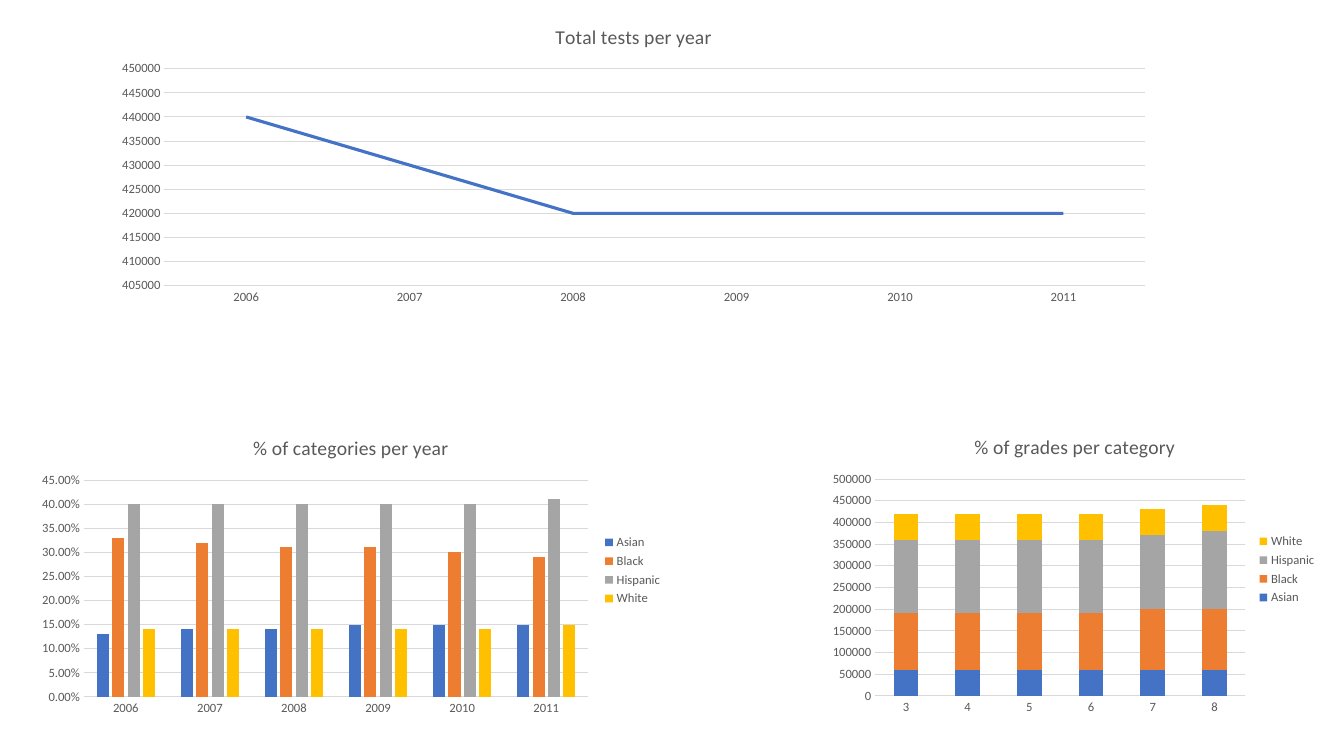
from dataclasses import dataclass
from typing import Optional

from pptx import Presentation
from pptx.chart.chart import Chart
from pptx.chart.data import CategoryChartData
from pptx.dml.color import RGBColor
from pptx.enum.chart import XL_CHART_TYPE as ChartType
from pptx.enum.chart import XL_LEGEND_POSITION as LegendPosition
from pptx.enum.chart import XL_MARKER_STYLE as MarkerStyle
from pptx.enum.chart import XL_TICK_MARK as TickMark
from pptx.slide import Slide
from pptx.text.text import Font
from pptx.util import Inches, Pt

TEXT_GRAY = RGBColor(0x59, 0x59, 0x59)
LINE_GRAY = RGBColor(0xD9, 0xD9, 0xD9)
BLUE = RGBColor(0x44, 0x72, 0xC4)
ORANGE = RGBColor(0xED, 0x7D, 0x31)
GRAY = RGBColor(0xA5, 0xA5, 0xA5)
YELLOW = RGBColor(0xFF, 0xC0, 0x00)
SERIES_COLORS = (BLUE, ORANGE, GRAY, YELLOW)
FONT_NAME = "Calibri"
YEARS = ("2006", "2007", "2008", "2009", "2010", "2011")
GRADES = ("3", "4", "5", "6", "7", "8")


@dataclass(frozen=True)
class ChartSpec:
    """Everything that sets one chart apart from the others."""

    title: str
    kind: ChartType
    box: tuple[float, float, float, float]
    categories: tuple[str, ...]
    series: dict[str, tuple[float, ...]]
    maximum: float
    major_unit: float
    minimum: float = 0
    number_format: str = "General"
    gap_width: Optional[int] = None
    overlap: int = 0


CHARTS = (
    ChartSpec(
        "Total tests per year", ChartType.LINE, (1, 0.08, 10.57, 3), YEARS,
        {"Series 1": (440000, 430000, 420000, 420000, 420000, 420000)},
        maximum=450000, major_unit=5000, minimum=405000,
    ),
    ChartSpec(
        "% of categories per year", ChartType.COLUMN_CLUSTERED,
        (0.29, 4.16, 6.38, 3), YEARS,
        {
            "Asian": (0.13, 0.14, 0.14, 0.15, 0.15, 0.15),
            "Black": (0.33, 0.32, 0.31, 0.31, 0.3, 0.29),
            "Hispanic": (0.4, 0.4, 0.4, 0.4, 0.4, 0.41),
            "White": (0.14, 0.14, 0.14, 0.14, 0.14, 0.15),
        },
        maximum=0.45, major_unit=0.05, number_format="0.00%",
        gap_width=219, overlap=-27,
    ),
    ChartSpec(
        "% of grades per category", ChartType.COLUMN_STACKED,
        (8.16, 4.15, 5, 3), GRADES,
        {
            "Asian": (60000, 60000, 60000, 60000, 60000, 60000),
            "Black": (130000, 130000, 130000, 130000, 140000, 140000),
            "Hispanic": (170000, 170000, 170000, 170000, 170000, 180000),
            "White": (60000, 60000, 60000, 60000, 60000, 60000),
        },
        maximum=500000, major_unit=50000, gap_width=150, overlap=100,
    ),
)


def style_font(font: Font, size: int) -> None:
    """Apply the shared chart typeface and gray at the given size."""
    font.name = FONT_NAME
    font.size = Pt(size)
    font.bold = False
    font.color.rgb = TEXT_GRAY


def style_axes(chart: Chart, spec: ChartSpec) -> None:
    """Set the scale, gridlines and labels of both axes."""
    category_axis, value_axis = chart.category_axis, chart.value_axis
    for axis in (category_axis, value_axis):
        axis.major_tick_mark = axis.minor_tick_mark = TickMark.NONE
        style_font(axis.tick_labels.font, 9)
    value_axis.has_major_gridlines = True
    for line in (category_axis.format.line, value_axis.major_gridlines.format.line):
        line.color.rgb = LINE_GRAY
        line.width = Pt(0.75)
    value_axis.format.line.fill.background()
    value_axis.minimum_scale = spec.minimum
    value_axis.maximum_scale = spec.maximum
    value_axis.major_unit = spec.major_unit
    value_axis.tick_labels.number_format = spec.number_format
    value_axis.tick_labels.number_format_is_linked = False


def style_series(chart: Chart, spec: ChartSpec) -> None:
    """Color the lines or columns and set the column spacing."""
    plot = chart.plots[0]
    plot.vary_by_categories = False
    if spec.gap_width is not None:
        plot.gap_width = spec.gap_width
        plot.overlap = spec.overlap
    for series, color in zip(plot.series, SERIES_COLORS):
        if spec.kind == ChartType.LINE:
            series.smooth = False
            series.marker.style = MarkerStyle.NONE
            series.format.line.color.rgb = color
            series.format.line.width = Pt(2.25)
        else:
            series.format.fill.solid()
            series.format.fill.fore_color.rgb = color


def draw_chart(slide: Slide, spec: ChartSpec) -> None:
    """Add one titled chart, with a legend if it has several series."""
    data = CategoryChartData(number_format=spec.number_format)
    data.categories = spec.categories
    for name, values in spec.series.items():
        data.add_series(name, values)
    box = (Inches(length) for length in spec.box)
    chart = slide.shapes.add_chart(spec.kind, *box, data).chart
    chart.font.name = FONT_NAME
    chart.font.size = Pt(10)
    chart.has_title = True
    title_frame = chart.chart_title.text_frame
    title_frame.text = spec.title
    style_font(title_frame.paragraphs[0].font, 14)
    chart.has_legend = len(spec.series) > 1
    if chart.has_legend:
        chart.legend.position = LegendPosition.RIGHT
        chart.legend.include_in_layout = False
        style_font(chart.legend.font, 9)
    style_axes(chart, spec)
    style_series(chart, spec)


def main() -> None:
    """Build the slide and save it."""
    presentation = Presentation()
    presentation.slide_width = Inches(13.33)
    presentation.slide_height = Inches(7.5)
    slide = presentation.slides.add_slide(presentation.slide_layouts[6])
    for spec in CHARTS:
        draw_chart(slide, spec)
    presentation.save("out.pptx")


main()
